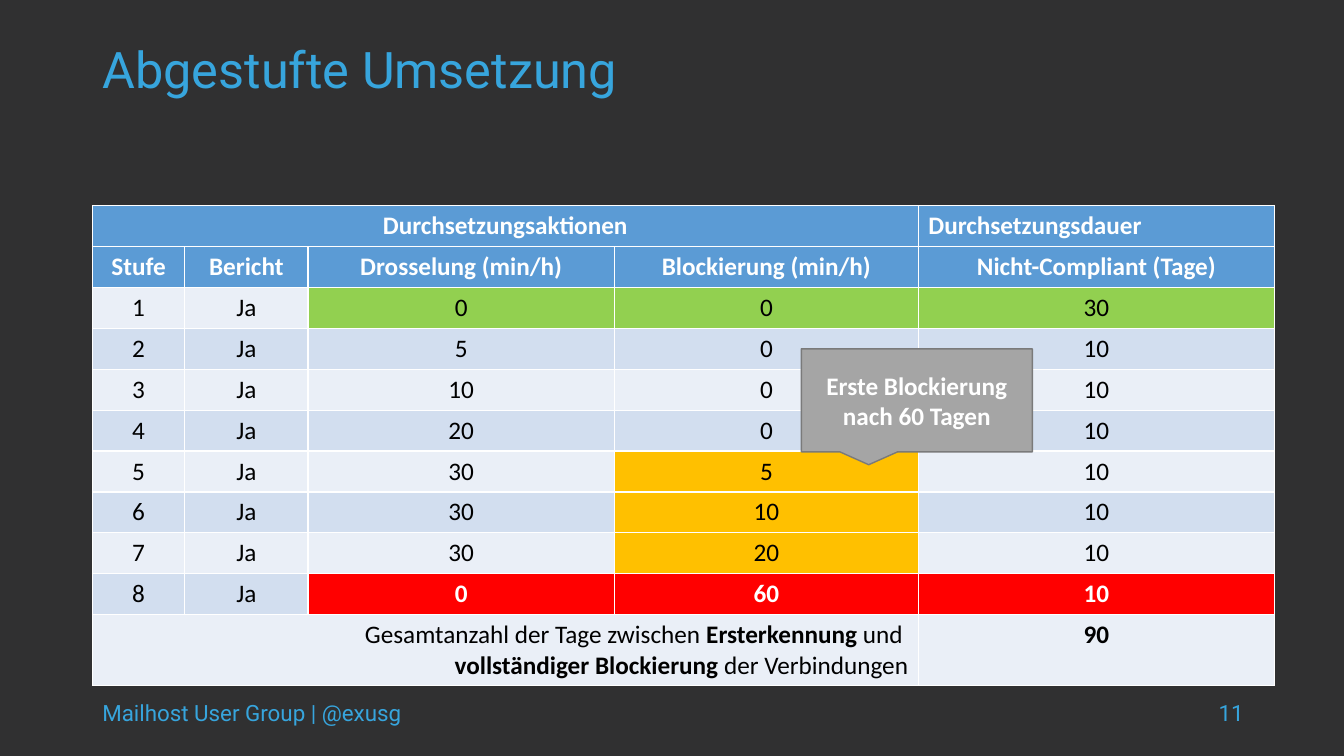
from pptx import Presentation
from pptx.dml.color import RGBColor
from pptx.enum.shapes import MSO_SHAPE
from pptx.enum.text import MSO_ANCHOR, MSO_AUTO_SIZE, PP_ALIGN
from pptx.util import Pt

DARK = RGBColor(0x30, 0x30, 0x31)
SKY = RGBColor(0x37, 0xA5, 0xDD)
BLUE = RGBColor(0x5B, 0x9B, 0xD5)
PALE = RGBColor(0xEA, 0xEF, 0xF7)
MIST = RGBColor(0xD2, 0xDE, 0xEF)
GREEN = RGBColor(0x92, 0xD0, 0x50)
AMBER = RGBColor(0xFF, 0xC0, 0x00)
RED = RGBColor(0xFF, 0x00, 0x00)
GRAY = RGBColor(0xA5, 0xA5, 0xA5)
EDGE = RGBColor(0x7A, 0x7A, 0x7A)
WHITE = RGBColor(0xFF, 0xFF, 0xFF)
BLACK = RGBColor(0x00, 0x00, 0x00)
LEFT, MID, RIGHT = PP_ALIGN.LEFT, PP_ALIGN.CENTER, PP_ALIGN.RIGHT


def write(frame, text, size=18, font="Calibri", color=WHITE, bold=False, align=LEFT):
    para = frame.paragraphs[0]
    para.alignment = align
    for row, line in enumerate(text.split("\n")):
        if row:
            para.add_line_break()
        for part, words in enumerate(line.split("*")):
            if words:
                run = para.add_run()
                run.text = words
                run.font.size = Pt(size)
                run.font.name = font
                run.font.color.rgb = color
                run.font.bold = bold or part % 2 == 1
    return para


deck = Presentation()
deck.slide_width, deck.slide_height = Pt(960), Pt(540)
slide = deck.slides.add_slide(deck.slide_layouts[5])
slide.background.fill.solid()
slide.background.fill.fore_color.rgb = DARK

for text, left, width, align in [
    ("Mailhost User Group | @exusg", 66, 270, LEFT),
    ("11", 741.5, 154, RIGHT),
]:
    box = slide.shapes.add_textbox(Pt(left), Pt(496), Pt(width), Pt(26.6))
    box.text_frame.word_wrap = True
    write(box.text_frame, text, size=16, font="Roboto", color=SKY, align=align)

title = slide.shapes.title
title.left, title.top, title.width, title.height = Pt(66), Pt(28.8), Pt(734), Pt(48)
frame = title.text_frame
frame.word_wrap = False
frame.auto_size = MSO_AUTO_SIZE.NONE
frame.vertical_anchor = MSO_ANCHOR.TOP
write(frame, "Abgestufte Umsetzung", size=36, font="Roboto", color=SKY).line_spacing = 0.9

TOTAL = "Gesamtanzahl der Tage zwischen *Ersterkennung* und \n*vollständiger Blockierung *der Verbindungen"
STEPS = [(0, 0, 30), (5, 0, 10), (10, 0, 10), (20, 0, 10), (30, 5, 10), (30, 10, 10), (30, 20, 10), (0, 60, 10)]
rows = [
    ["Durchsetzungsaktionen", "", "", "", "Durchsetzungsdauer"],
    ["Stufe", "Bericht", "Drosselung (min/h)", "Blockierung (min/h)", "Nicht-Compliant (Tage)"],
    *[[str(step), "Ja", *map(str, nums)] for step, nums in enumerate(STEPS, 1)],
    [TOTAL, "", "", "", "*90*"],
]
marks = {(2, col): GREEN for col in (2, 3, 4)}
marks |= {(row, 3): AMBER for row in (6, 7, 8)}
marks |= {(9, col): RED for col in (2, 3, 4)}
aligns = {(0, 4): LEFT, (10, 0): RIGHT}
widths = [66, 88, 219, 217, 254.5]
heights = [29.2] * 10 + [50.6]

table = slide.shapes.add_table(
    len(rows), len(widths), Pt(66), Pt(147), Pt(sum(widths)), Pt(sum(heights))
).table
for col, width in enumerate(widths):
    table.columns[col].width = Pt(width)
for row, high in enumerate(heights):
    table.rows[row].height = Pt(high)
for row in (0, 10):
    table.cell(row, 0).merge(table.cell(row, 3))

for row, texts in enumerate(rows):
    base = BLUE if row < 2 else MIST if row % 2 else PALE
    for col, text in enumerate(texts):
        cell = table.cell(row, col)
        fill = marks.get((row, col), base)
        cell.fill.solid()
        cell.fill.fore_color.rgb = fill
        if text:
            strong = fill in (BLUE, RED)
            write(cell.text_frame, text, color=WHITE if strong else BLACK,
                  bold=strong, align=aligns.get((row, col), MID))

note = slide.shapes.add_shape(MSO_SHAPE.RECTANGULAR_CALLOUT, Pt(572.4), Pt(249.2), Pt(165), Pt(73.6))
note.shadow.inherit = False
note.fill.solid()
note.fill.fore_color.rgb = GRAY
note.line.color.rgb = EDGE
note.line.width = Pt(1)
note.text_frame.word_wrap = True
note.text_frame.vertical_anchor = MSO_ANCHOR.MIDDLE
write(note.text_frame, "Erste Blockierung nach 60 Tagen", bold=True, align=MID)

deck.save("out.pptx")
